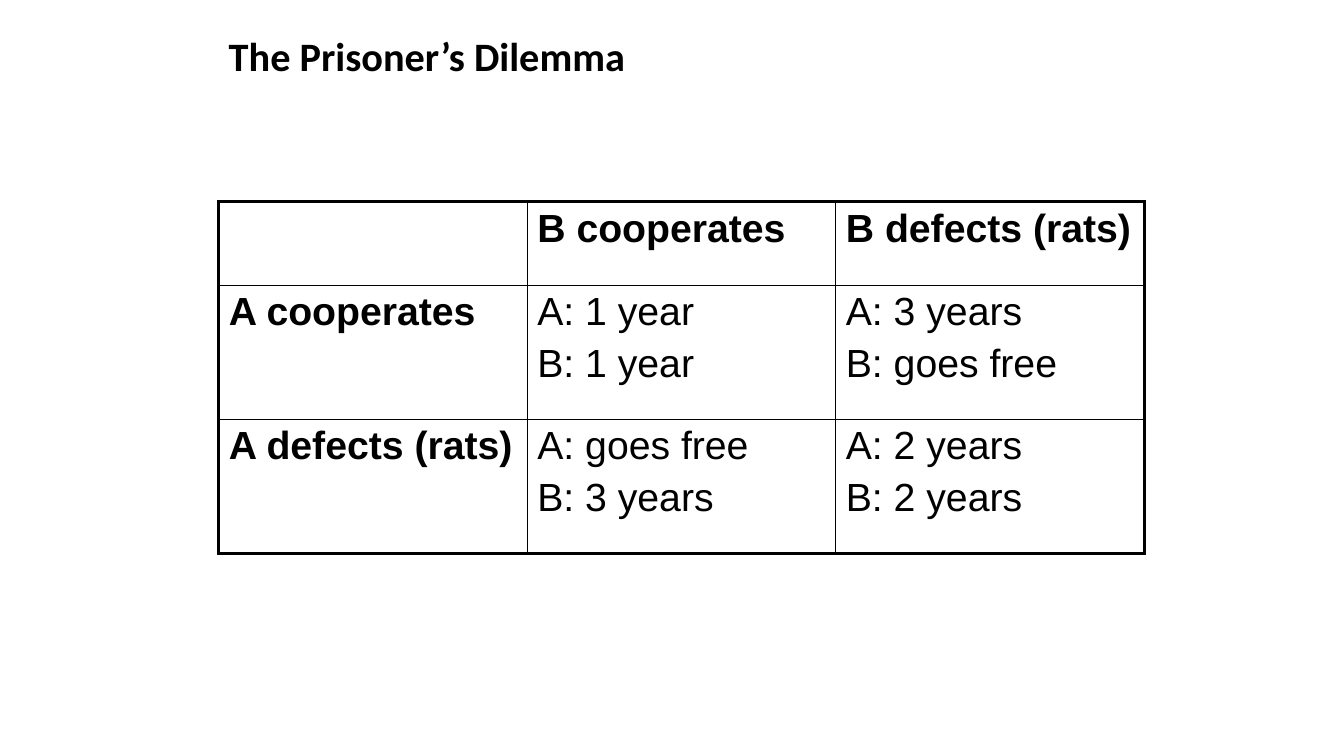
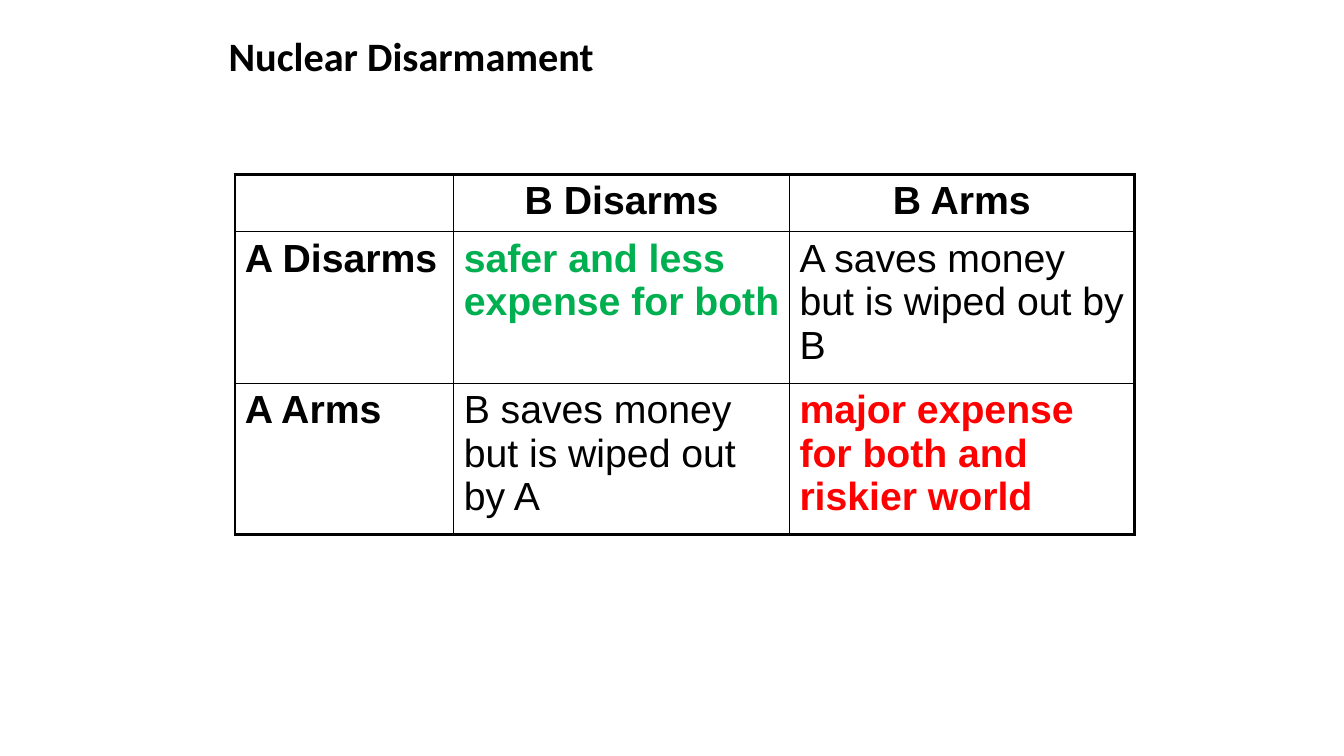
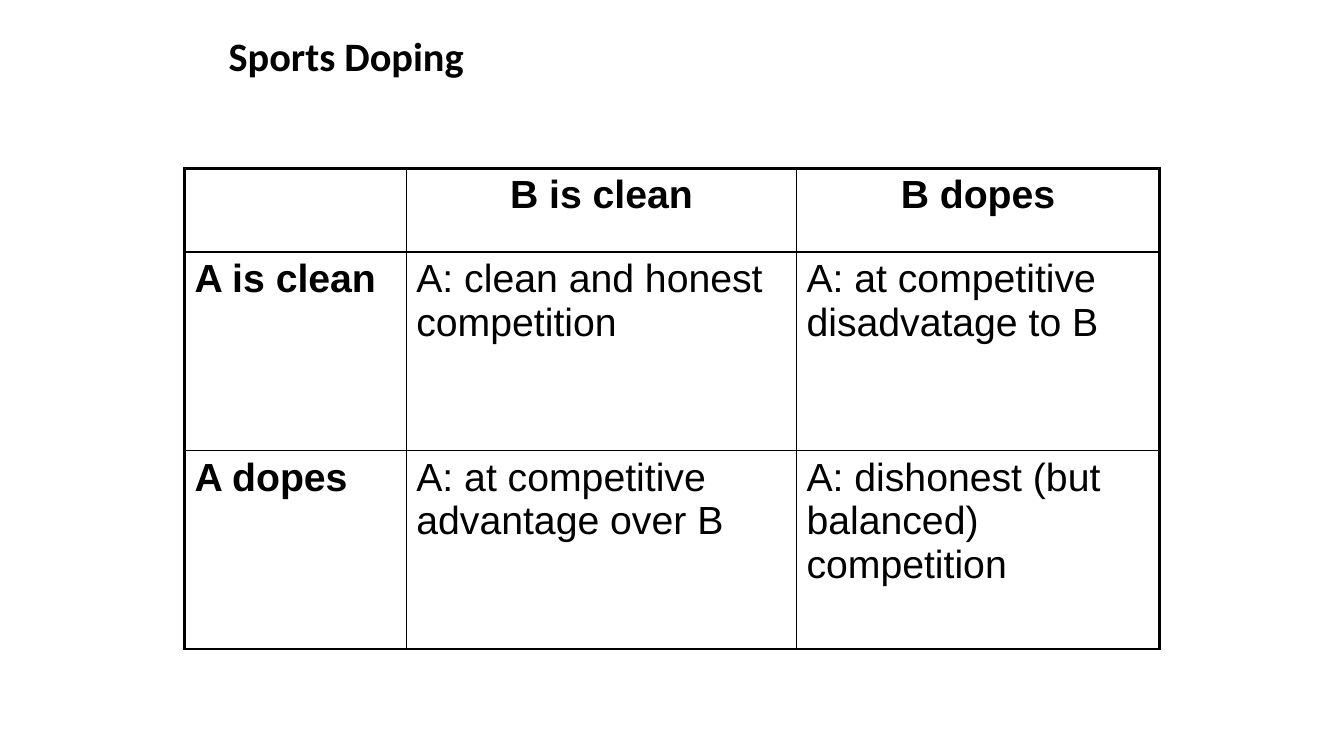
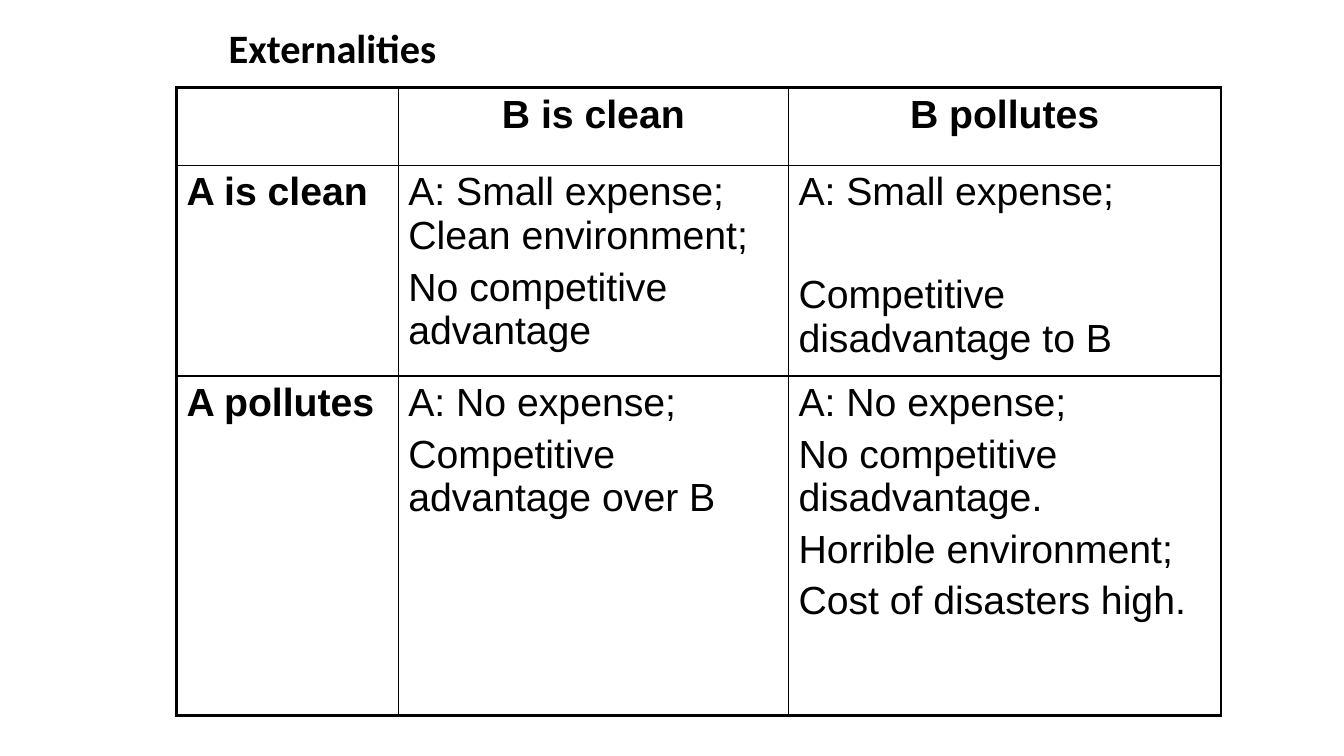
from dataclasses import dataclass

from lxml.etree import SubElement as add_element
from pptx import Presentation
from pptx.dml.color import RGBColor
from pptx.enum.text import MSO_ANCHOR as Anchor, PP_ALIGN as Align
from pptx.oxml.ns import qn
from pptx.slide import Slide
from pptx.table import _Cell as Cell
from pptx.text.text import _Paragraph as Paragraph
from pptx.util import Pt

EMU_PER_PX = 9144
BLACK, GREEN, RED = "000000", "00B050", "FF0000"
TITLE_FONT, TABLE_FONT = "Calibri", "Arial"
TITLE_SIZE, TABLE_SIZE = 28.8, 28
PARAGRAPH_GAP = 5.6
WIDE_GAP = 42.4
OUTER_LINE, INNER_LINE = 2.25, 1


@dataclass(frozen=True)
class Outcome:
    lines: tuple[str, ...]
    color: str = BLACK
    bold: bool = False
    gap: float = PARAGRAPH_GAP


@dataclass(frozen=True)
class Dilemma:
    title: str
    left: int
    top: int
    columns: tuple[int, ...]
    rows: tuple[int, ...]
    a_choices: tuple[str, str]
    b_choices: tuple[str, str]
    outcomes: tuple[tuple[Outcome, Outcome], tuple[Outcome, Outcome]]
    title_top: int = 33
    header_align: Align = Align.CENTER


DILEMMAS = (
    Dilemma(
        "The Prisoner’s Dilemma", 217, 200, (306, 306, 306), (83, 133, 133),
        ("A cooperates", "A defects (rats)"),
        ("B cooperates", "B defects (rats)"),
        (
            (Outcome(("A: 1 year", "B: 1 year")),
             Outcome(("A: 3 years", "B: goes free"))),
            (Outcome(("A: goes free", "B: 3 years")),
             Outcome(("A: 2 years", "B: 2 years"))),
        ),
        header_align=Align.LEFT,
    ),
    Dilemma(
        "Nuclear Disarmament", 233, 173, (217, 333, 342), (57, 150, 150),
        ("A Disarms", "A Arms"),
        ("B Disarms", "B Arms"),
        (
            (Outcome(("safer and less expense for both",), GREEN, True),
             Outcome(("A saves money but is wiped out by B",))),
            (Outcome(("B saves money but is wiped out by A",)),
             Outcome(("major expense for both and riskier world",), RED, True)),
        ),
    ),
    Dilemma(
        "Sports Doping", 183, 167, (220, 387, 360), (83, 197, 197),
        ("A is clean", "A dopes"),
        ("B is clean", "B dopes"),
        (
            (Outcome(("A: clean and honest competition",)),
             Outcome(("A: at competitive disadvatage to B",))),
            (Outcome(("A: at competitive advantage over B",)),
             Outcome(("A: dishonest (but balanced) competition",))),
        ),
    ),
    Dilemma(
        "Externalities", 175, 87, (220, 387, 429), (77, 199, 337),
        ("A is clean", "A pollutes"),
        ("B is clean", "B pollutes"),
        (
            (Outcome(("A: Small expense; Clean environment;",
                      "No competitive advantage")),
             Outcome(("A: Small expense;", "Competitive disadvantage to B"),
                     gap=WIDE_GAP)),
            (Outcome(("A: No expense;", "Competitive advantage over B")),
             Outcome(("A: No expense;", "No competitive disadvantage.",
                      "Horrible environment;", "Cost of disasters high."))),
        ),
        title_top=25,
    ),
)


def px(length: int) -> int:
    return length * EMU_PER_PX


def rgb(color: str) -> RGBColor:
    return RGBColor.from_string(color)


def style_text(para: Paragraph, font: str, size: float, color: str, bold: bool) -> None:
    for span in para.runs:
        span.font.name = font
        span.font.size = Pt(size)
        span.font.bold = bold
        span.font.color.rgb = rgb(color)


def add_title(page: Slide, text: str, top: int) -> None:
    box = page.shapes.add_textbox(px(217), px(top), px(900), px(50))
    frame = box.text_frame
    frame.word_wrap = True
    frame.vertical_anchor = Anchor.MIDDLE
    frame.text = text
    para = frame.paragraphs[0]
    para.line_spacing = 0.9
    style_text(para, TITLE_FONT, TITLE_SIZE, BLACK, True)


def set_borders(cell: Cell, row: int, column: int, last: int) -> None:
    properties = cell._tc.get_or_add_tcPr()
    outer_edges = {"L": column == 0, "R": column == last,
                   "T": row == 0, "B": row == last}
    for side, outer in outer_edges.items():
        width = Pt(OUTER_LINE if outer else INNER_LINE)
        line = add_element(properties, qn(f"a:ln{side}"), w=str(width))
        fill = add_element(line, qn("a:solidFill"))
        add_element(fill, qn("a:srgbClr"), val=BLACK)


def fill_cell(cell: Cell, content: Outcome, align: Align) -> None:
    cell.text_frame.text = "\n".join(content.lines)
    for index, para in enumerate(cell.text_frame.paragraphs):
        para.alignment = align
        if index:
            para.space_before = Pt(content.gap)
        style_text(para, TABLE_FONT, TABLE_SIZE, content.color, content.bold)


def label(text: str) -> Outcome:
    return Outcome((text,), bold=True)


def add_matrix(page: Slide, dilemma: Dilemma) -> None:
    columns, rows = dilemma.columns, dilemma.rows
    table = page.shapes.add_table(
        len(rows), len(columns), px(dilemma.left), px(dilemma.top),
        px(sum(columns)), px(sum(rows)),
    ).table
    table.first_row = table.horz_banding = False
    for column, width in zip(table.columns, columns):
        column.width = px(width)
    for row, height in zip(table.rows, rows):
        row.height = px(height)

    contents = [[label(text) for text in ("", *dilemma.b_choices)]]
    for choice, outcomes in zip(dilemma.a_choices, dilemma.outcomes):
        contents.append([label(choice), *outcomes])
    for row, entries in enumerate(contents):
        align = Align.LEFT if row else dilemma.header_align
        for column, content in enumerate(entries):
            cell = table.cell(row, column)
            set_borders(cell, row, column, len(entries) - 1)
            cell.fill.background()
            fill_cell(cell, content, align)


def main() -> None:
    deck = Presentation()
    deck.slide_width, deck.slide_height = px(1333), px(750)
    for dilemma in DILEMMAS:
        page = deck.slides.add_slide(deck.slide_layouts[6])
        add_title(page, dilemma.title, dilemma.title_top)
        add_matrix(page, dilemma)
    deck.save("out.pptx")


if __name__ == "__main__":
    main()
